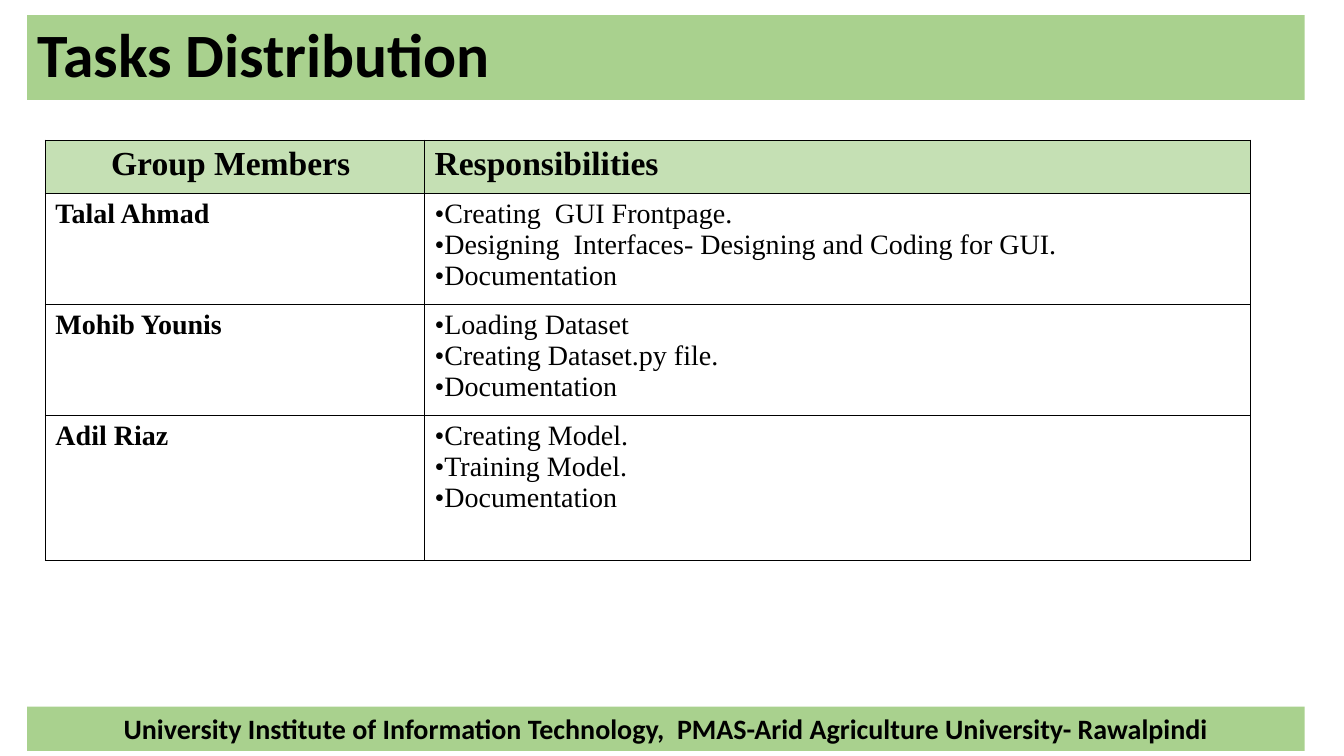
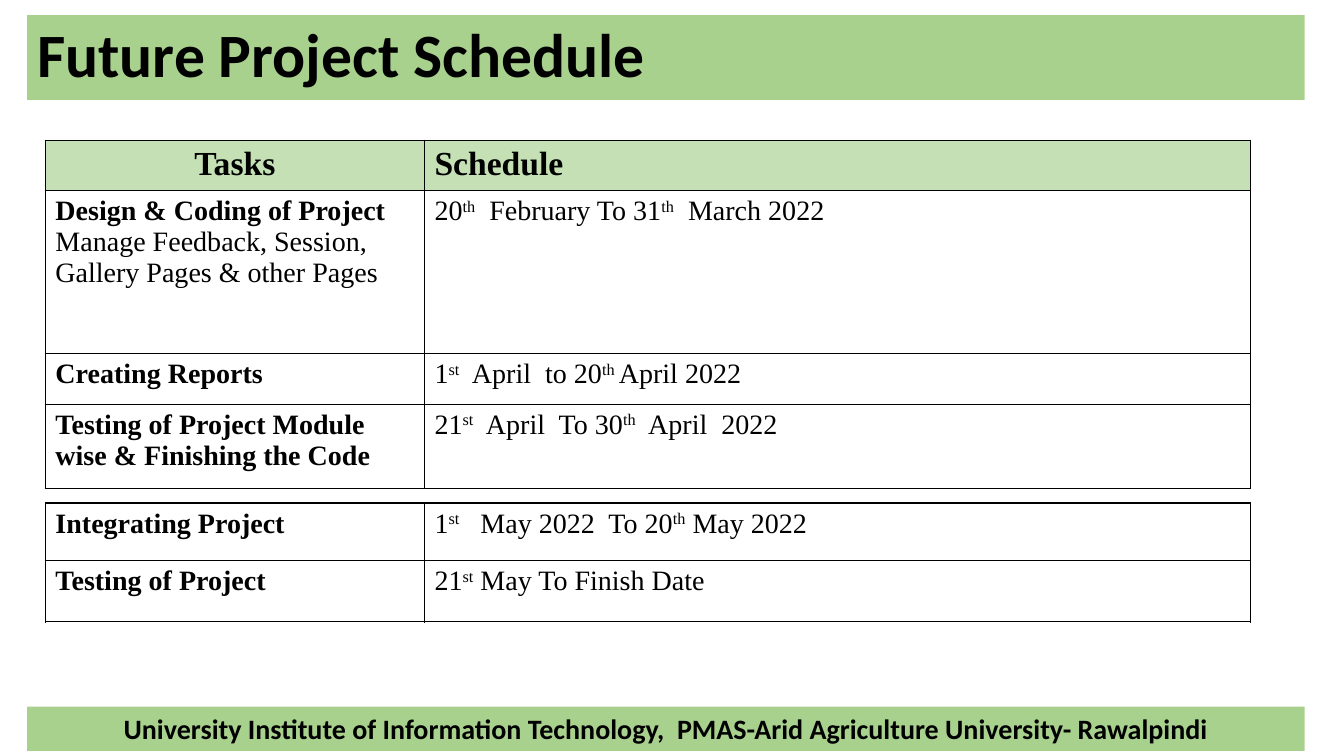
from lxml import etree
from pptx import Presentation
from pptx.dml.color import RGBColor
from pptx.enum import shapes, text
from pptx.oxml import ns
from pptx.util import Inches, Pt

WIDTH, HEIGHT = 13.33, 7.5
BAND_LEFT, BAND_WIDTH = 0.27, 12.67
TABLE_LEFT, TABLE_TOP = 0.45, 1.39
COLUMNS = (3.76, 8.19)
BAND_GREEN, HEADER_GREEN, BLACK = "A9D18E", "C5E0B4", "000000"
HEADING_FONT, TABLE_FONT = "Calibri", "Times New Roman"
FOOTER = "University Institute of Information Technology,  PMAS-Arid Agriculture University- Rawalpindi"

RESPONSIBILITIES = [
    ("Talal Ahmad", ["Creating  GUI Frontpage.",
                     "Designing  Interfaces- Designing and Coding for GUI.",
                     "Documentation"]),
    ("Mohib Younis", ["Loading Dataset", "Creating Dataset.py file.", "Documentation"]),
    ("Adil Riaz", ["Creating Model.", "Training Model.", "Documentation"]),
]
SCHEDULE = [
    ("Design & Coding of Project\nManage Feedback, Session, Gallery Pages & other Pages",
     ["20^th^  February To 31^th^  March 2022"]),
    ("Creating Reports", ["1^st^  April  to 20^th ^April 2022"]),
    ("Testing of Project Module wise & Finishing the Code",
     ["21^st^  April  To 30^th^  April  2022"]),
]
LATER_TASKS = [
    ("Integrating Project", ["1^st^   May 2022  To 20^th^ May 2022"], 0.57),
    ("Testing of Project", ["21^st^ May To Finish Date"], 0.61),
]


def color(value):
    return RGBColor.from_string(value)


def sub(parent, tag, **attributes):
    return etree.SubElement(parent, ns.qn(tag), attributes)


def write(paragraph, content, size=20, font=TABLE_FONT, bold=False,
          align=text.PP_ALIGN.LEFT, spacing=None, bullet=False):
    paragraph.alignment = align
    if spacing:
        paragraph.line_spacing = spacing
    if bullet:
        properties = paragraph._p.get_or_add_pPr()
        sub(properties, "a:buFont", typeface=font)
        sub(properties, "a:buChar", char="•")
    for index, part in enumerate(content.split("^")):
        if not part:
            continue
        run = paragraph.add_run()
        run.text = part
        run.font.size, run.font.name, run.font.bold = Pt(size), font, bold
        run.font.color.rgb = color(BLACK)
        if index % 2:
            run._r.get_or_add_rPr().set("baseline", "30000")


def write_lines(frame, lines, first_bold=False, **style):
    for index, line in enumerate(lines):
        paragraph = frame.add_paragraph() if index else frame.paragraphs[0]
        write(paragraph, line, bold=first_bold and index == 0, **style)


def place_band(band, top, height):
    band.left, band.top = Inches(BAND_LEFT), Inches(top)
    band.width, band.height = Inches(BAND_WIDTH), Inches(height)
    band.fill.solid()
    band.fill.fore_color.rgb = color(BAND_GREEN)
    band.text_frame.word_wrap = True
    band.text_frame.auto_size = text.MSO_AUTO_SIZE.NONE


def add_titled_slide(deck, heading):
    slide = deck.slides.add_slide(deck.slide_layouts[5])
    title = slide.shapes.title
    place_band(title, 0.15, 0.84)
    title.text_frame.vertical_anchor = text.MSO_ANCHOR.MIDDLE
    write(title.text_frame.paragraphs[0], heading, size=44, font=HEADING_FONT,
          bold=True, spacing=0.9)

    footer = slide.shapes.add_shape(shapes.MSO_SHAPE.RECTANGLE, 0, 0, 0, 0)
    footer.shadow.inherit = False
    footer.line.fill.background()
    place_band(footer, 7.01, 0.44)
    footer.text_frame.vertical_anchor = text.MSO_ANCHOR.TOP
    write(footer.text_frame.paragraphs[0], FOOTER, font=HEADING_FONT, bold=True,
          align=text.PP_ALIGN.CENTER)
    return slide


def style_cell(cell, fill=None):
    properties = cell._tc.get_or_add_tcPr()
    for edge in ("a:lnL", "a:lnR", "a:lnT", "a:lnB"):
        line = sub(properties, edge, w=str(Pt(1)))
        sub(sub(line, "a:solidFill"), "a:srgbClr", val=BLACK)
    if fill:
        cell.fill.solid()
        cell.fill.fore_color.rgb = color(fill)
    else:
        cell.fill.background()


def add_grid(slide, top, heights, entries, header=None, bullet=False):
    grid = slide.shapes.add_table(len(heights), len(COLUMNS), Inches(TABLE_LEFT), Inches(top),
                                  Inches(sum(COLUMNS)), Inches(sum(heights))).table
    grid.first_row = bool(header)
    grid.horz_banding = False
    for column, width in zip(grid.columns, COLUMNS):
        column.width = Inches(width)
    for row, height in zip(grid.rows, heights):
        row.height = Inches(height)
    rows = list(grid.rows)
    if header:
        aligns = (text.PP_ALIGN.CENTER, text.PP_ALIGN.LEFT)
        for cell, label, align in zip(rows.pop(0).cells, header, aligns):
            style_cell(cell, HEADER_GREEN)
            write(cell.text_frame.paragraphs[0], label, size=24, bold=True, align=align)
    for row, (label, details) in zip(rows, entries):
        label_cell, detail_cell = row.cells
        style_cell(label_cell)
        style_cell(detail_cell)
        write_lines(label_cell.text_frame, label.split("\n"), first_bold=True)
        write_lines(detail_cell.text_frame, details, bullet=bullet)


def main():
    deck = Presentation()
    deck.slide_width, deck.slide_height = Inches(WIDTH), Inches(HEIGHT)

    distribution = add_titled_slide(deck, "Tasks Distribution")
    add_grid(distribution, TABLE_TOP, (0.53, 1.1, 1.1, 1.44), RESPONSIBILITIES,
             header=("Group Members ", "Responsibilities"), bullet=True)

    schedule = add_titled_slide(deck, "Future Project Schedule")
    add_grid(schedule, TABLE_TOP, (0.5, 1.62, 0.5, 0.84), SCHEDULE,
             header=("Tasks", "Schedule"))
    top = 4.99
    for task, dates, height in LATER_TASKS:
        add_grid(schedule, top, (height,), [(task, dates)])
        top += height

    deck.save("out.pptx")


if __name__ == "__main__":
    main()
